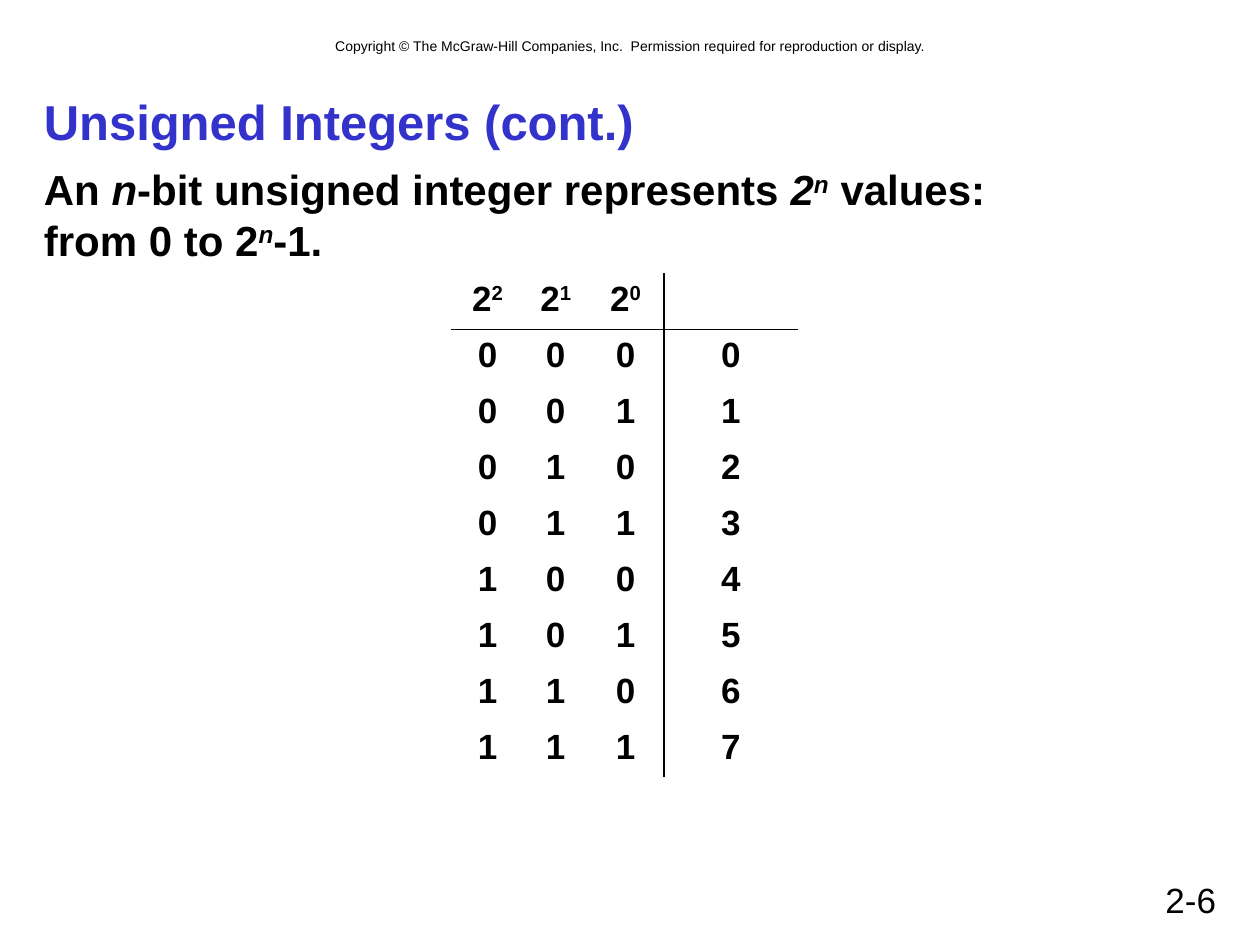
from lxml.etree import SubElement
from pptx import Presentation
from pptx.dml.color import RGBColor
from pptx.enum.text import MSO_ANCHOR as Anchor, PP_ALIGN as Align
from pptx.oxml.ns import qn
from pptx.util import Inches, Pt

# Content: a run is (text, style), where i is italic and s is superscript
COLORS = {"text": "000000", "title": "3333CC"}
COPYRIGHT = [[("Copyright © The McGraw-Hill Companies, Inc.  "
               "Permission required for reproduction or display.", "")]]
TITLE = [[("Unsigned Integers (cont.)", "")]]
STATEMENT = [
    [("An ", ""), ("n", "i"), ("-bit unsigned integer represents ", ""),
     ("2", "i"), ("n", "is"), (" values:", "")],
    [("from 0 to 2", ""), ("n", "is"), ("-1.", "")],
]
PAGE_NUMBER = [[("2-6", "")]]
BITS = 3
COLUMN_WIDTHS = [0.58, 0.5, 0.61, 1.06]
TABLE_LEFT, TABLE_TOP, TABLE_HEIGHT = 3.58, 2.17, 4
BORDER_WIDTH = 1.08

# Table rows: powers of two, then each number in binary and decimal
powers = [[("2", ""), (str(power), "s")] for power in reversed(range(BITS))]
table_rows = [powers + [[]]]
for number in range(2 ** BITS):
    digits = f"{number:0{BITS}b}{number}"
    table_rows.append([[(digit, "")] for digit in digits])


def write_lines(para, lines, size, color="text", bold=True):
    for index, line in enumerate(lines):
        if index:
            para.add_line_break()
        for text, style in line:
            span = para.add_run()
            span.text = text
            font = span.font
            font.name, font.size, font.bold = "Arial", Pt(size), bold
            font.italic = "i" in style
            font.color.rgb = RGBColor.from_string(COLORS[color])
            if "s" in style:
                span._r.get_or_add_rPr().set("baseline", "30000")


def add_text(page, place, lines, size, color="text", bold=True,
             align=Align.LEFT, anchor=Anchor.TOP):
    box = page.shapes.add_textbox(*map(Inches, place))
    frame = box.text_frame
    frame.word_wrap = True
    frame.vertical_anchor = anchor
    para = frame.paragraphs[0]
    para.alignment = align
    write_lines(para, lines, size, color, bold)


def set_borders(cell, drawn):
    properties = cell._tc.get_or_add_tcPr()
    for side in "LRTB":
        line = SubElement(properties, qn(f"a:ln{side}"))
        if side in drawn:
            line.set("w", str(Pt(BORDER_WIDTH)))
            fill = SubElement(line, qn("a:solidFill"))
            SubElement(fill, qn("a:srgbClr")).set("val", COLORS["text"])
        else:
            SubElement(line, qn("a:noFill"))


def add_value_table(page):
    frame = page.shapes.add_table(
        len(table_rows), len(COLUMN_WIDTHS), Inches(TABLE_LEFT), Inches(TABLE_TOP),
        Inches(sum(COLUMN_WIDTHS)), Inches(TABLE_HEIGHT))
    table = frame.table
    table.first_row = table.horz_banding = False
    for column, width in zip(table.columns, COLUMN_WIDTHS):
        column.width = Inches(width)
    row_sides = {0: "B", 1: "T"}
    column_sides = {BITS - 1: "R", BITS: "L"}
    for row, entries in enumerate(table_rows):
        for column, spans in enumerate(entries):
            cell = table.cell(row, column)
            set_borders(cell, row_sides.get(row, "") + column_sides.get(column, ""))
            cell.fill.background()
            para = cell.text_frame.paragraphs[0]
            para.alignment = Align.CENTER
            write_lines(para, [spans], 20)


def main():
    deck = Presentation()
    deck.slide_width, deck.slide_height = Inches(10), Inches(7.5)
    page = deck.slides.add_slide(deck.slide_layouts[6])

    # Copyright line and page number
    add_text(page, (0.67, 0.25, 8.67, 0.24), COPYRIGHT, 8, bold=False,
             align=Align.CENTER)
    add_text(page, (7.17, 6.92, 2.58, 0.42), PAGE_NUMBER, 20, bold=False,
             align=Align.RIGHT)

    # Title and statement
    add_text(page, (0.25, 0.67, 9.5, 0.58), TITLE, 28, "title",
             anchor=Anchor.MIDDLE)
    add_text(page, (0.25, 1.25, 9.5, 5.42), STATEMENT, 24)

    # Binary values
    add_value_table(page)
    deck.save("out.pptx")


if __name__ == "__main__":
    main()
